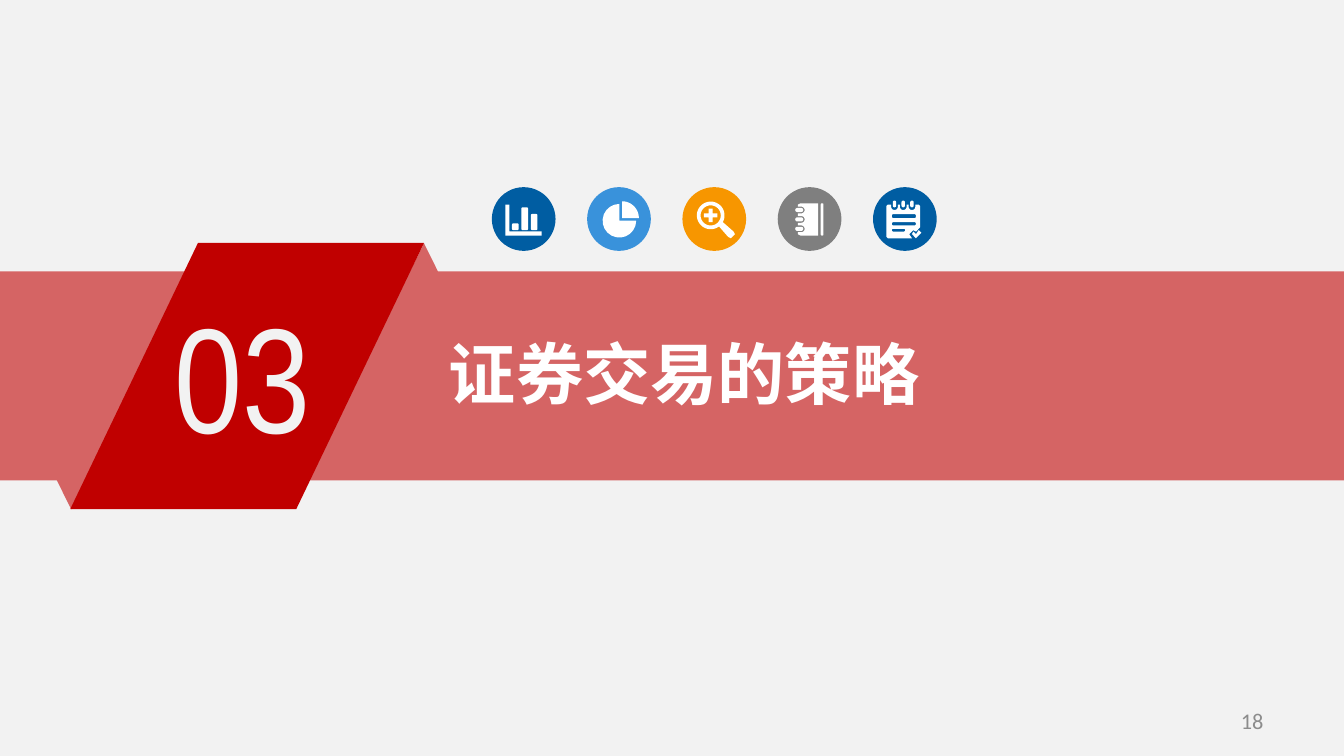
"""Build the section divider slide for chapter 03."""
import math
import lxml.etree
import pptx
import pptx.dml.color
import pptx.enum.shapes
import pptx.enum.text
import pptx.oxml.ns
import pptx.util

RGBColor = pptx.dml.color.RGBColor
SHAPE = pptx.enum.shapes.MSO_SHAPE
ALIGN = pptx.enum.text.PP_ALIGN
ANCHOR = pptx.enum.text.MSO_ANCHOR

PAPER = RGBColor(0xF2, 0xF2, 0xF2)
WHITE = RGBColor(0xFF, 0xFF, 0xFF)
RED = RGBColor(0xC0, 0x00, 0x00)
ROSE = RGBColor(0xD5, 0x64, 0x64)
NAVY = RGBColor(0x00, 0x5D, 0xA2)
SKY = RGBColor(0x39, 0x92, 0xDB)
ORANGE = RGBColor(0xF7, 0x96, 0x00)
GREY = RGBColor(0x7F, 0x7F, 0x7F)
PALE_GREY = RGBColor(0x8C, 0x8C, 0x8C)

deck = pptx.Presentation()
deck.slide_width = pptx.util.Inches(10)
deck.slide_height = deck.slide_width * 9 // 16
UNIT = deck.slide_width // 100
page = deck.slides.add_slide(deck.slide_layouts[6])
page.background.fill.solid()
page.background.fill.fore_color.rgb = PAPER


def write_text(text, *, place, size, font, color, bold=False, align=ALIGN.LEFT,
               anchor=ANCHOR.TOP, side=1, edge=0.5):
    box = page.shapes.add_textbox(*[round(length * UNIT) for length in place])
    frame = box.text_frame
    frame.word_wrap = True
    frame.vertical_anchor = anchor
    frame.margin_left = frame.margin_right = round(side * UNIT)
    frame.margin_top = frame.margin_bottom = round(edge * UNIT)
    para = frame.paragraphs[0]
    para.alignment = align
    span = para.add_run()
    span.text = text
    span.font.size = pptx.util.Pt(size)
    span.font.name = font
    span.font.bold = bold
    span.font.color.rgb = color
    east_asian = lxml.etree.SubElement(span.font._element, pptx.oxml.ns.qn("a:ea"))
    east_asian.set("typeface", font)


def arc(x, y, radius, start, end, steps=16):
    angles = [math.radians(start + (end - start) * step / steps) for step in range(steps + 1)]
    return [(x + radius * math.cos(angle), y + radius * math.sin(angle)) for angle in angles]


CIRCLE_SIZE, CIRCLE_PITCH, CIRCLE_LEFT, CIRCLE_TOP = 4.74, 7.09, 36.6, 13.93
circle_lefts = [CIRCLE_LEFT + CIRCLE_PITCH * column for column in range(5)]

banner = [
    (SHAPE.ISOSCELES_TRIANGLE, (27.05, 18.1, 9, 9.1), ROSE, 0),
    (SHAPE.ISOSCELES_TRIANGLE, (0.8, 28.8, 9, 9.1), ROSE, 180),
    (SHAPE.RECTANGLE, (0, 20.2, 100, 15.55), ROSE, 0),
    (SHAPE.PARALLELOGRAM, (5.23, 18.08, 26.32, 19.8), RED, 0),
]
circles = [
    (SHAPE.OVAL, (left, CIRCLE_TOP, CIRCLE_SIZE, CIRCLE_SIZE), color, 0)
    for left, color in zip(circle_lefts, [NAVY, SKY, ORANGE, GREY, NAVY])
]
for kind, place, color, turn in banner + circles:
    shape = page.shapes.add_shape(kind, *[round(length * UNIT) for length in place])
    shape.shadow.inherit = False
    shape.fill.solid()
    shape.fill.fore_color.rgb = color
    shape.line.fill.background()
    shape.rotation = turn
    if kind == SHAPE.PARALLELOGRAM:
        shape.adjustments[0] = 0.48

ring_rows = [1.7, 2.4, 3.1]
cover = [(1.7, 1.2), (3, 1.2), (3, 3.6), (1.7, 3.6), (1.5, 3.5)]
for row in reversed(ring_rows):
    cover += [(1.5, row + 0.25), *arc(1.75, row, 0.25, 90, -90), (1.5, row - 0.25)]
cover.append((1.5, 1.3))

pin_columns = [1.6, 2.25, 2.9]
sheet = [(1, 1.4), (1.1, 1.3)]
for column in pin_columns:
    sheet += [(column - 0.25, 1.3), *arc(column, 1.45, 0.25, 180, 0), (column + 0.25, 1.3)]
sheet += [(3.4, 1.3), (3.5, 1.4), (3.5, 3), (3.2, 3.3), (3, 3.2), (2.7, 3.5), (2.9, 3.8),
          (1.1, 3.8), (1, 3.7)]

bar_chart = (
    [[(1, 1.3), (1.3, 1.3), (1.3, 3.3), (3.7, 3.3), (3.7, 3.6), (1, 3.6)]],
    [(1.5, 2.7, 0.5, 0.5, 0.1), (2.2, 1.5, 0.5, 1.7, 0.1), (2.9, 2, 0.5, 1.2, 0.1)],
)
pie_chart = (
    [[(2.6, 2.3), *arc(2.6, 2.3, 1.25, 270, 360)],
     [(2.4, 2.5), *arc(2.4, 2.5, 1.25, 0, 270)]],
    [],
)
magnifier = (
    [[*arc(2.1, 2.1, 1.03, 53, 389, 40), (3.8, 3.3), (3.9, 3.5), (3.6, 3.8), (3.4, 3.7)],
     arc(2.1, 2.1, 0.75, 0, 360, 40),
     [(1.6, 1.95), (1.95, 1.95), (1.95, 1.6), (2.25, 1.6), (2.25, 1.95), (2.6, 1.95),
      (2.6, 2.25), (2.25, 2.25), (2.25, 2.6), (1.95, 2.6), (1.95, 2.25), (1.6, 2.25)]],
    [],
)
notebook = (
    [cover],
    [(3.2, 1.2, 0.2, 2.4, 0.08)] + [(1.3, row - 0.15, 0.6, 0.3, 0.15) for row in ring_rows],
)
checklist = (
    [sheet, [(3.6, 3.4), (3.2, 3.8), (2.9, 3.5), (3, 3.3), (3.2, 3.5), (3.4, 3.2)]],
    [(1.4, 2, 1.8, 0.3, 0.12), (1.4, 2.6, 1.8, 0.25, 0.12), (1.4, 3.1, 1, 0.2, 0.1)]
    + [(column - 0.13, 1, 0.26, 0.5, 0.13) for column in pin_columns],
)

for left, (outlines, bars) in zip(
        circle_lefts, [bar_chart, pie_chart, magnifier, notebook, checklist]):
    contours = list(outlines)
    for x, y, width, height, radius in bars:
        near, far = x + radius, x + width - radius
        top, bottom = y + radius, y + height - radius
        corners = [(near, top, 180), (far, top, 270), (far, bottom, 0), (near, bottom, 90)]
        contours.append([point for corner_x, corner_y, start in corners
                         for point in arc(corner_x, corner_y, radius, start, start + 90, 4)])
    builder = None
    for contour in contours:
        points = [((left + x) * UNIT, (CIRCLE_TOP + y) * UNIT) for x, y in contour]
        if builder is None:
            builder = page.shapes.build_freeform(*points[0])
        else:
            builder.move_to(*points[0])
        builder.add_line_segments(points[1:], close=True)
    icon = builder.convert_to_shape()
    icon.shadow.inherit = False
    icon.fill.solid()
    icon.fill.fore_color.rgb = WHITE
    icon.line.fill.background()

write_text("03", place=(12.25, 20.75, 14.5, 13.8), size=80, font="Arial Narrow",
           color=PAPER, side=0.7, edge=0.4)
write_text("证券交易的策略", place=(32.6, 24.3, 55.2, 6.8), size=36,
           font="Noto Sans CJK SC", color=WHITE, bold=True, side=0.8, edge=0.4)
write_text("18", place=(71.7, 52.14, 23.3, 3), size=12, font="Calibri",
           color=PALE_GREY, align=ALIGN.RIGHT, anchor=ANCHOR.MIDDLE)

deck.save("out.pptx")
